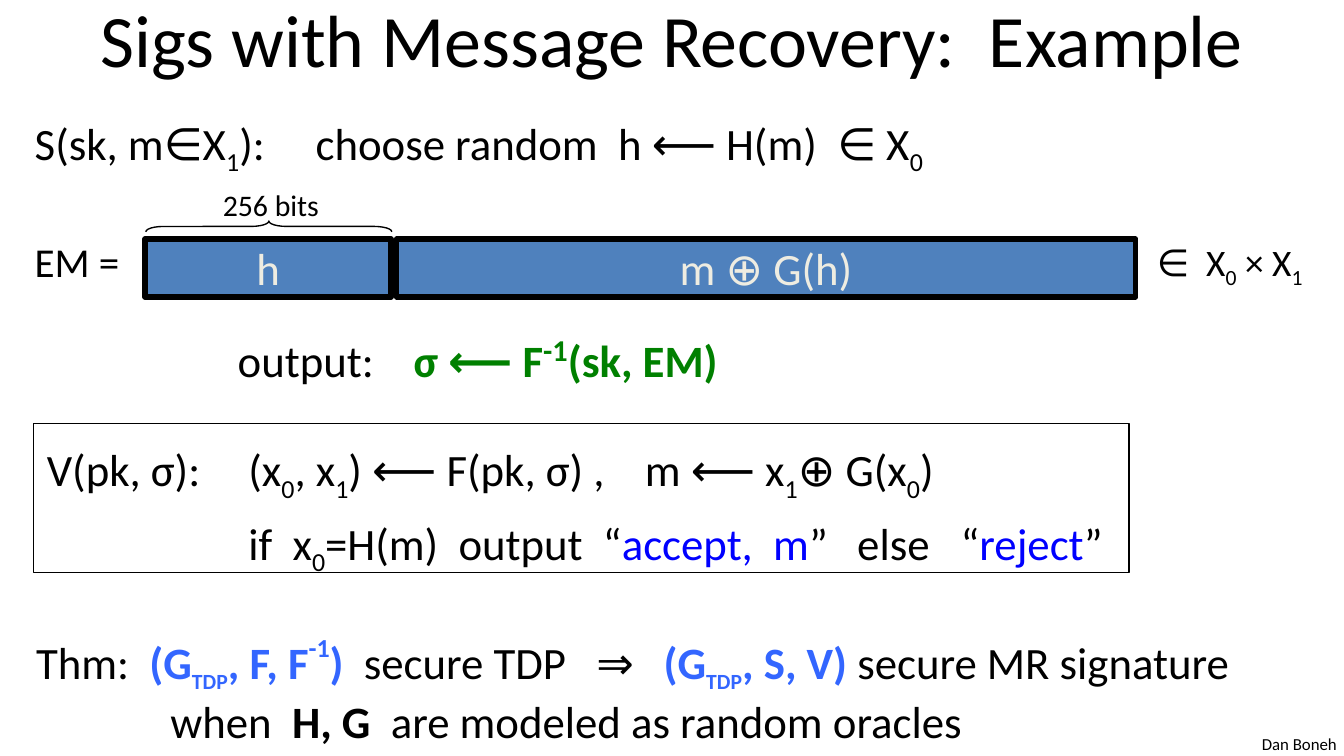
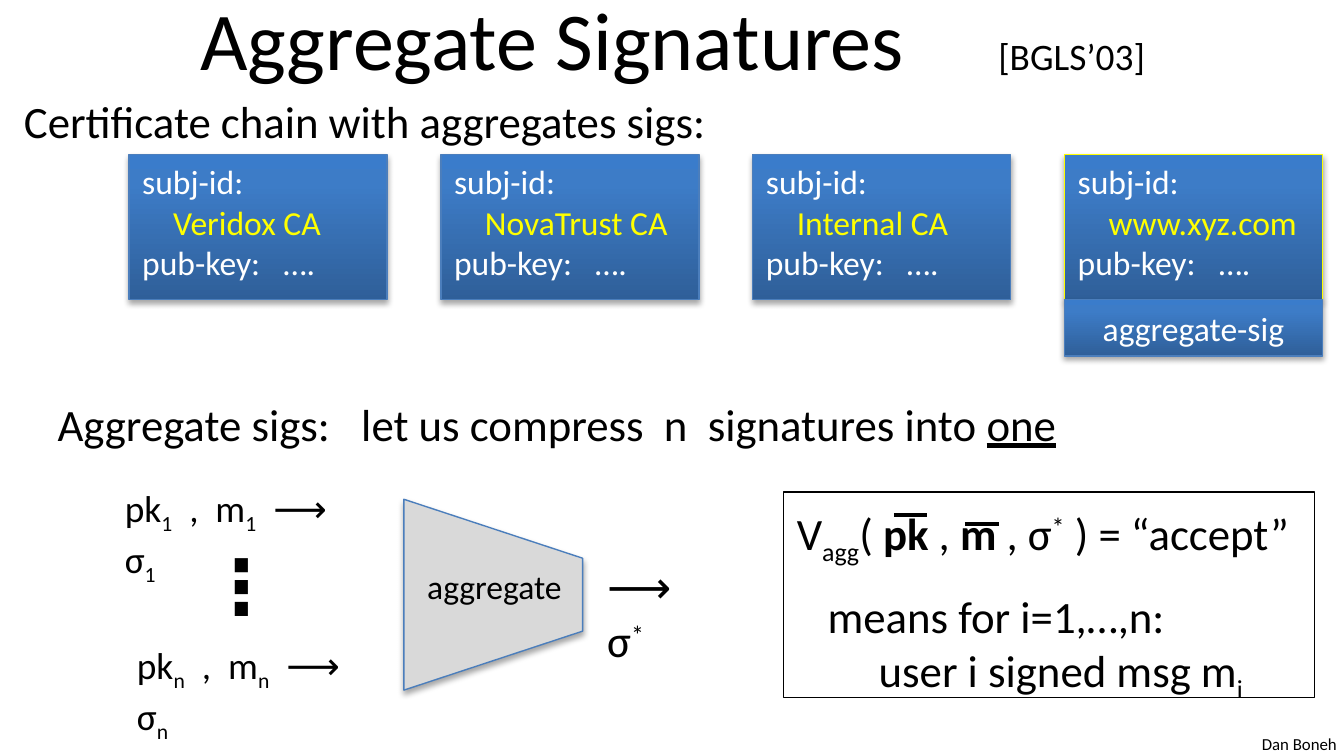
from copy import deepcopy

from lxml import etree
from pptx import Presentation
from pptx.dml.color import RGBColor
from pptx.enum.shapes import MSO_CONNECTOR, MSO_SHAPE
from pptx.enum.text import MSO_ANCHOR, PP_ALIGN
from pptx.oxml.ns import qn
from pptx.util import Inches, Pt

RECT = MSO_SHAPE.RECTANGLE
BRACE = MSO_SHAPE.LEFT_BRACE
TRAPEZOID = MSO_SHAPE.TRAPEZOID
LINE = MSO_CONNECTOR.STRAIGHT
TOP, MIDDLE = MSO_ANCHOR.TOP, MSO_ANCHOR.MIDDLE
LEFT, CENTER = PP_ALIGN.LEFT, PP_ALIGN.CENTER

FONT = "Calibri"
BLACK, WHITE, YELLOW = "000000", "FFFFFF", "FFFF00"
BLUE, CREAM, GREY, EDGE = "4F81BD", "EEECE1", "D9D9D9", "4B7EBC"
GREEN, LINK, THEME = "008000", "0000FF", "3366FF"
GRADIENT = [(0, "2F5F99"), (0.8, "3D7CC7"), (1, "3A7CCB")]


def rgb(code):
    return RGBColor.from_string(code)


def sub(text, **style):
    return text, {"base": -25, **style}


def sup(text, base=30, **style):
    return text, {"base": base, **style}


def bold(text, color=BLACK):
    return text, {"bold": True, "color": color}


def tint(text, color):
    return text, {"color": color}


def add_run(par, text, size, color, bold=False, line=False, base=0):
    for i, piece in enumerate(text.split("\n")):
        if i:
            par.add_line_break()
        if not piece:
            continue
        run = par.add_run()
        run.text = piece
        font = run.font
        font.name, font.size, font.bold = FONT, Pt(size), bold
        font.color.rgb = rgb(color)
        if line:
            font.underline = True
        if base:
            run._r.get_or_add_rPr().set("baseline", str(base * 1000))


def add_par(par, runs, size=24, color=BLACK, align=LEFT, tabs=(),
            before=0, spacing=None):
    """Fill one paragraph; a run is a string or a (text, style) pair."""
    if tabs:
        stops = etree.SubElement(par._p.get_or_add_pPr(), qn("a:tabLst"))
        for stop in tabs:
            etree.SubElement(stops, qn("a:tab"), pos=str(Inches(stop)), algn="l")
    par.alignment = align
    if before:
        par.space_before = Pt(before)
    if spacing:
        par.line_spacing = spacing
    for run in runs:
        text, style = (run, {}) if isinstance(run, str) else run
        add_run(par, text, **{"size": size, "color": color, **style})


def set_frame(shape, anchor=TOP, wrap=False):
    frame = shape.text_frame
    frame.word_wrap = wrap
    frame.vertical_anchor = anchor
    return frame


def add_text(slide, box, runs, anchor=TOP, wrap=False, **style):
    shape = slide.shapes.add_textbox(*map(Inches, box))
    add_par(set_frame(shape, anchor, wrap).paragraphs[0], runs, **style)


def add_shape(slide, kind, box, fill=None, line=BLACK, width=0.75):
    shape = slide.shapes.add_shape(kind, *map(Inches, box))
    shape.shadow.inherit = False
    if fill:
        shape.fill.solid()
        shape.fill.fore_color.rgb = rgb(fill)
    else:
        shape.fill.background()
    shape.line.color.rgb = rgb(line)
    shape.line.width = Pt(width)
    return shape


def add_shadow(shape):
    effects = shape._element.spPr.find(qn("a:effectLst"))
    outer = etree.SubElement(effects, qn("a:outerShdw"), blurRad="40000",
                             dist="23000", dir="5400000", rotWithShape="0")
    color = etree.SubElement(outer, qn("a:srgbClr"), val=BLACK)
    etree.SubElement(color, qn("a:alpha"), val="35000")


def add_card(slide, box, line=EDGE):
    card = add_shape(slide, RECT, box, BLUE, line)
    card.fill.gradient()
    card.fill.gradient_angle = 90
    stops = card._element.spPr.find(".//" + qn("a:gsLst"))
    stops.append(deepcopy(stops[0]))
    for stop, (place, color) in zip(card.fill.gradient_stops, GRADIENT):
        stop.position = place
        stop.color.rgb = rgb(color)
    add_shadow(card)
    return card


def add_slide(deck, title, size, **style):
    slide = deck.slides.add_slide(deck.slide_layouts[6])
    add_text(slide, (9.29, 5.41, 0.76, 0.25), ["Dan Boneh"], size=9)
    add_text(slide, (0.5, -0.19, 9, 0.94), title, MIDDLE, True,
             size=size, **style)
    return slide


def draw_em(slide, x, y):
    """Encoded message: two blocks with a label on each side."""
    blocks = [(0.92, 1.83, "h"), (2.79, 5.5, "m ⊕ G(h)")]
    for left, width, text in blocks:
        block = add_shape(slide, RECT, (x + left, y + 0.44, width, 0.43),
                          BLUE, width=3)
        add_par(set_frame(block, MIDDLE).paragraphs[0], [text],
                color=CREAM, align=CENTER)
    brace = add_shape(slide, BRACE, (x + 1.8, y - 0.57, 0.08, 1.83))
    brace.rotation = 90
    brace.adjustments[0], brace.adjustments[1] = 1.64, 0.5
    add_text(slide, (x + 1.4, y, 0.93, 0.37), ["256 bits"], size=16)
    add_text(slide, (x, y + 0.37, 0.84, 0.47), ["EM ="], size=22)
    add_text(slide, (x + 8.35, y + 0.39, 1.36, 0.44),
             ["∈  X", sub("0"), " × X", sub("1")], size=20)


def draw_verify(slide, box):
    panel = add_shape(slide, RECT, box)
    frame = set_frame(panel)
    frame.margin_bottom = Inches(0.1)
    add_par(frame.paragraphs[0], [
        "V(pk, σ):\t(x", sub("0"), ", x", sub("1"), ") ⟵ F(pk, σ) ,\tm ⟵ x",
        sub("1"), "⊕ G(x", sub("0"), ")\n\tif  x", sub("0"),
        "=H(m)  output  “", tint("accept,  m", LINK), "”\telse\t“",
        tint("reject", LINK), "”"], tabs=(1.5, 4.45, 6.03, 6.8), spacing=1.2)


def draw_theorem(slide, box):
    tdp = sub("TDP", size=20, color=THEME, bold=True)
    add_text(slide, box, [
        "Thm:  ", bold("(G", THEME), tdp, bold(", F, F", THEME),
        sup("-1", 50, color=THEME, bold=True), bold(")  ", THEME),
        "secure TDP\t⇒\t", bold("(G", THEME), tdp, bold(", S, V) ", THEME),
        "secure MR signature\n\twhen  ", bold("H, G"),
        "  are modeled as random oracles"], tabs=(1, 4.17, 4.67))


def recovery_slide(deck):
    slide = add_slide(deck, ["Sigs with Message Recovery:  Example"], 39.6,
                      align=CENTER)
    add_text(slide, (0.16, 0.81, 9.42, 0.67), [
        "S(sk, m∈X", sub("1"), "):\tchoose random  h ⟵ H(m)  ∈ X", sub("0")],
        wrap=True, tabs=(2.09,))
    draw_em(slide, 0.16, 1.34)
    add_text(slide, (1.67, 2.23, 3.79, 0.61), [
        "output:\t", bold("σ ⟵ F", GREEN),
        sup("-1", size=28, color=GREEN, bold=True), bold("(sk, EM)", GREEN)],
        tabs=(1.31,), spacing=1.3)
    draw_verify(slide, (0.25, 3.15, 8.15, 1.11))
    draw_theorem(slide, (0.17, 4.65, 9.44, 1.31))


def draw_chain(slide, x, y, names):
    wide, high, pitch = 1.92, 1.08, 2.32
    look = {"size": 18, "color": WHITE}
    for i, name in enumerate(names):
        last = i == len(names) - 1
        left = x + i * pitch
        card = add_card(slide, (left, y, wide, high), YELLOW if last else EDGE)
        frame = set_frame(card, wrap=True)
        add_par(frame.paragraphs[0], ["subj-id:\n\t", tint(name, YELLOW)],
                tabs=(0.23,), **look)
        add_par(frame.add_paragraph(), ["pub-key:\t…."], tabs=(1.05,), **look)
    seal = add_card(slide, (left, y + high, wide, 0.42))
    add_par(set_frame(seal, MIDDLE, True).paragraphs[0], ["aggregate-sig"],
            align=CENTER, **look)


def draw_funnel(slide, x, y):
    """Pairs of keys and messages going through the aggregator."""
    for left, top, mark in [(0, 0, "1"), (0.09, 1.17, "n")]:
        add_text(slide, (x + left, y + top, 2.05, 0.44), [
            "pk", sub(mark), "  ,  m", sub(mark), "  ⟶  σ", sub(mark)], size=20)
    add_text(slide, (x + 0.59, y + 0.4, 0.48, 0.77), [bold("⋮")], size=40)
    funnel = add_shape(slide, TRAPEZOID, (x + 2.13, y + 0.2, 1.42, 1.33),
                       GREY, EDGE)
    funnel.rotation = 90
    funnel.adjustments[0] = 0.33
    add_shadow(funnel)
    add_text(slide, (x + 2.25, y + 0.6, 1.22, 0.4), ["aggregate"], size=18)
    add_text(slide, (x + 3.59, y + 0.55, 0.97, 0.5), ["⟶ σ", sup("*")])


def draw_meaning(slide, box):
    x, y = box[:2]
    frame = set_frame(add_shape(slide, RECT, box))
    frame.margin_top = Inches(0.1)
    add_par(frame.paragraphs[0], [
        "V", sub("agg"), "( ", bold("pk"), " , ", bold("m"), " , σ", sup("*"),
        " ) = “accept”"])
    add_par(frame.add_paragraph(), [
        "\tmeans for i=1,…,n:\n\t\tuser i signed msg m", sub("i")],
        tabs=(0.23, 0.61), before=12)
    for left, top in [(0.82, 0.17), (1.35, 0.24)]:
        ends = x + left, y + top, x + left + 0.25, y + top
        bar = slide.shapes.add_connector(LINE, *map(Inches, ends))
        bar.line.color.rgb = rgb(BLACK)
        bar.line.width = Pt(2)
        etree.SubElement(bar._element.spPr, qn("a:effectLst"))


def aggregate_slide(deck):
    title = ["\tAggregate Signatures\t", ("[BGLS’03]", {"size": 20})]
    slide = add_slide(deck, title, 44, tabs=(0.89, 6.83))
    add_text(slide, (0.08, 0.65, 5.5, 0.67),
             ["Certificate chain with aggregates sigs:"], wrap=True)
    draw_chain(slide, 0.96, 1.15,
               ["Veridox CA", "NovaTrust CA", "Internal CA", "www.xyz.com"])
    add_text(slide, (0.33, 2.9, 9.33, 0.67), [
        "Aggregate sigs:\tlet us compress  n  signatures into ",
        ("one", {"line": True})], wrap=True, tabs=(2.26,))
    draw_funnel(slide, 0.83, 3.56)
    draw_meaning(slide, (5.83, 3.66, 3.95, 1.53))


def main():
    deck = Presentation()
    deck.slide_width = Inches(10)
    deck.slide_height = deck.slide_width * 9 // 16
    recovery_slide(deck)
    aggregate_slide(deck)
    deck.save("out.pptx")


if __name__ == "__main__":
    main()
